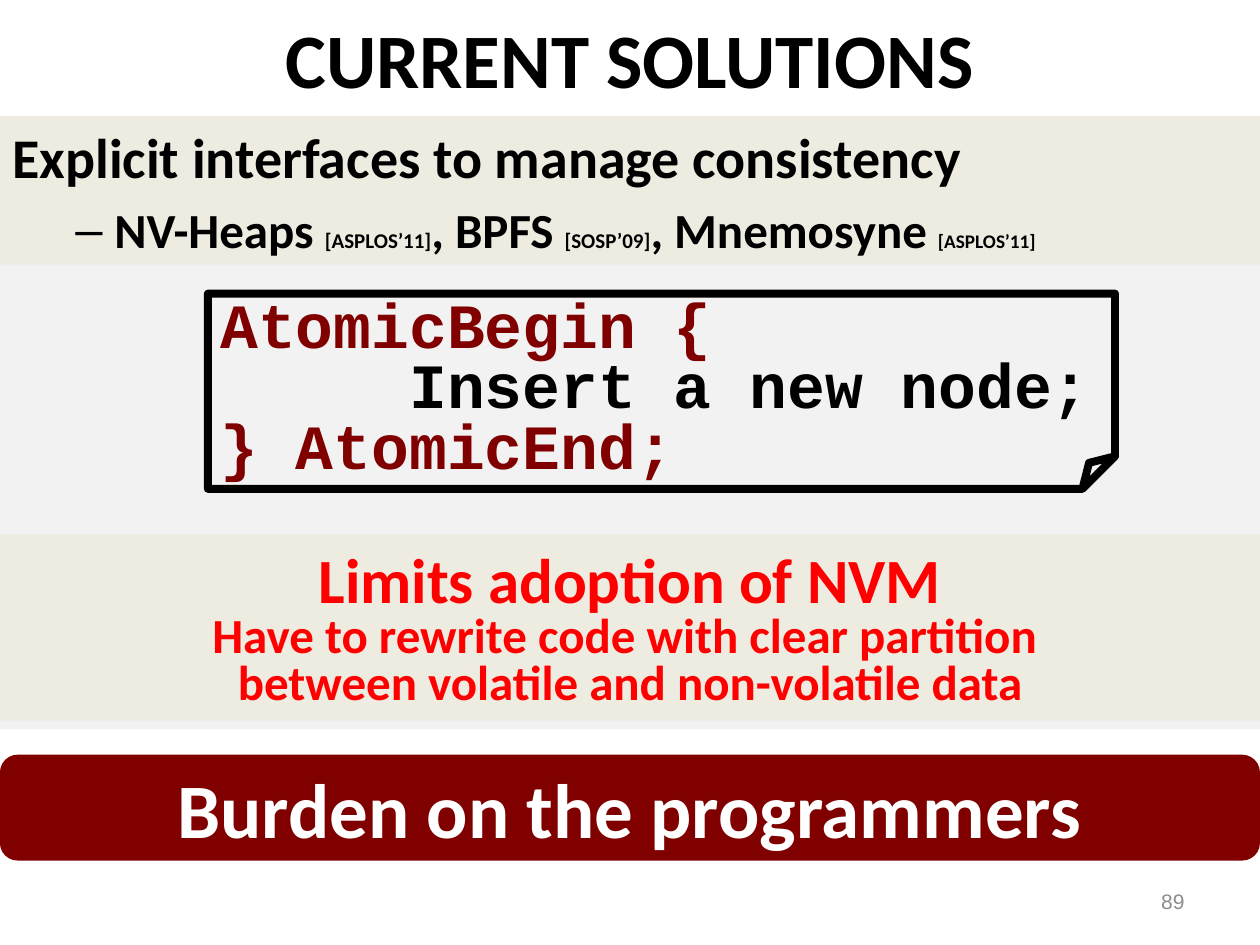
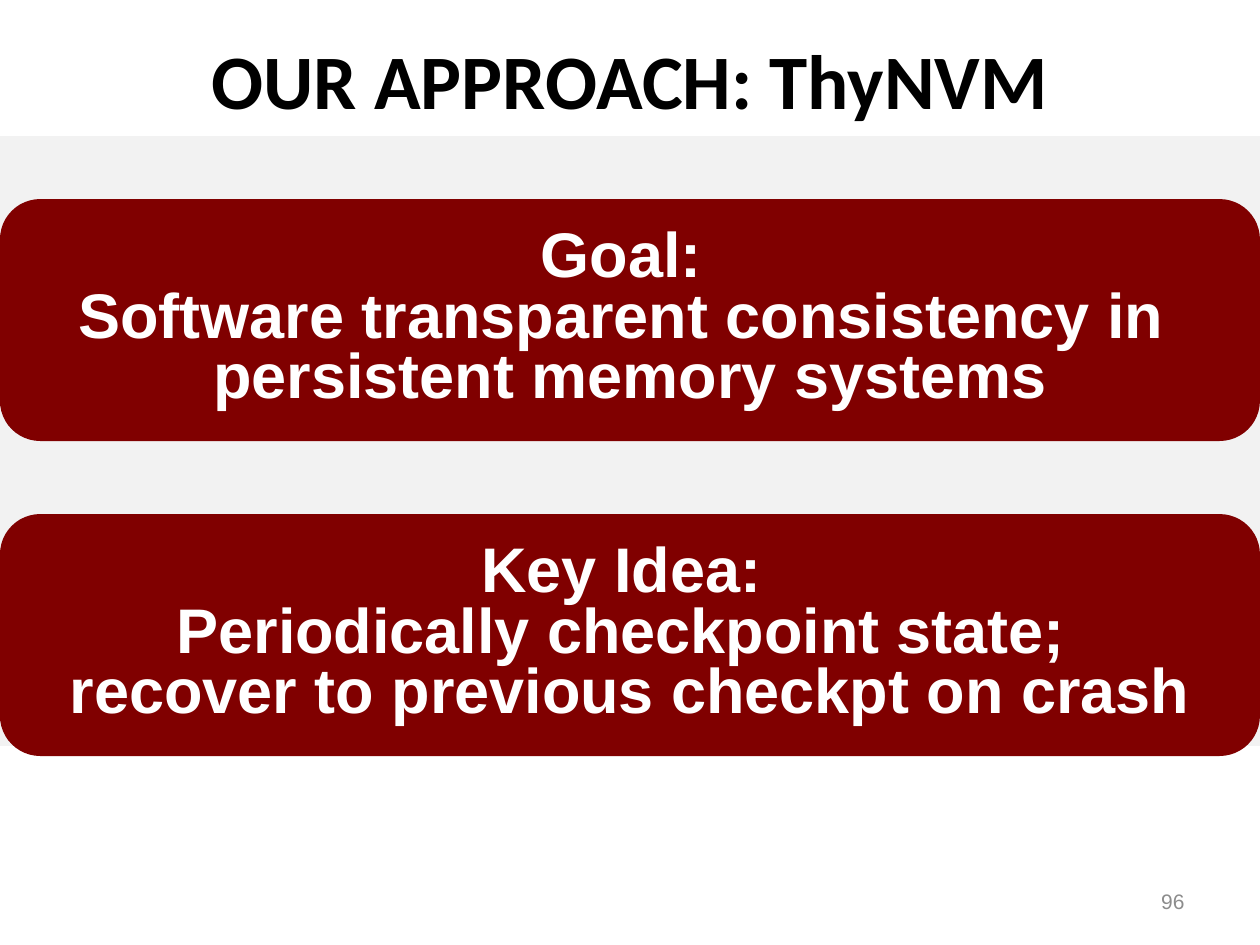
from dataclasses import dataclass

from lxml.etree import SubElement
from pptx import Presentation
from pptx.dml.color import RGBColor
from pptx.enum.shapes import MSO_SHAPE
from pptx.enum.text import MSO_ANCHOR, MSO_AUTO_SIZE, PP_ALIGN
from pptx.oxml.ns import qn
from pptx.shapes.autoshape import Shape
from pptx.slide import Slide
from pptx.text.text import Font, _Paragraph as Paragraph
from pptx.util import Emu, Pt

# Shared look: 100 px to the inch
EMU_PER_PX = 9144
SLIDE_WIDTH, SLIDE_HEIGHT = 1000, 750
BLACK, WHITE, RED = "000000", "FFFFFF", "FF0000"
MAROON, CREAM, PALE_GRAY, NUMBER_GRAY = "800000", "EEECE1", "F2F2F2", "8C8C8C"
HEADING_FONT, PLAIN_FONT, CODE_FONT = "Calibri", "Arial", "Courier New"
TIGHT = 0.8


@dataclass(frozen=True)
class Box:
    left: int
    top: int
    width: int
    height: int

    def emu(self) -> tuple[Emu, Emu, Emu, Emu]:
        return (px(self.left), px(self.top), px(self.width), px(self.height))


@dataclass(frozen=True)
class Line:
    text: str
    size: int
    color: str
    font: str = HEADING_FONT
    spacing: float = 1.0
    align: PP_ALIGN = PP_ALIGN.CENTER
    bold: bool = True


def px(length: int) -> Emu:
    return Emu(length * EMU_PER_PX)


def color(value: str) -> RGBColor:
    return RGBColor.from_string(value)


def full_width(top: int, height: int) -> Box:
    return Box(0, top, SLIDE_WIDTH, height)


def style_font(font: Font, name: str, size: int, hex_color: str, bold: bool) -> None:
    font.name = name
    font.size = Pt(size)
    font.bold = bold
    font.color.rgb = color(hex_color)


def write_lines(shape: Shape, lines: list[Line], anchor: MSO_ANCHOR) -> None:
    text_frame = shape.text_frame
    text_frame.word_wrap = True
    text_frame.auto_size = MSO_AUTO_SIZE.NONE
    text_frame.vertical_anchor = anchor
    text_frame.text = "\n".join(line.text for line in lines)
    for paragraph, line in zip(text_frame.paragraphs, lines):
        paragraph.alignment = line.align
        paragraph.line_spacing = line.spacing
        for run in paragraph.runs:
            style_font(run.font, line.font, line.size, line.color, line.bold)


def add_block(slide: Slide, kind: MSO_SHAPE, box: Box, fill: str | None) -> Shape:
    shape = slide.shapes.add_shape(kind, *box.emu())
    shape.shadow.inherit = False
    shape.line.fill.background()
    if fill:
        shape.fill.solid()
        shape.fill.fore_color.rgb = color(fill)
    else:
        shape.fill.background()
    return shape


def add_banner(slide: Slide, box: Box, lines: list[Line]) -> None:
    banner = add_block(slide, MSO_SHAPE.ROUNDED_RECTANGLE, box, MAROON)
    write_lines(banner, lines, MSO_ANCHOR.MIDDLE)


def add_base_slide(presentation, title: str, title_top: int, panel_top: int, number: str) -> Slide:
    """Add a slide with its title, gray panel and page number."""
    slide = presentation.slides.add_slide(presentation.slide_layouts[5])
    add_block(slide, MSO_SHAPE.RECTANGLE, full_width(panel_top, 484), PALE_GRAY)
    heading = slide.shapes.title
    heading.left, heading.top, heading.width, heading.height = full_width(title_top, 125).emu()
    write_lines(heading, [Line(title, 44, BLACK)], MSO_ANCHOR.MIDDLE)
    page_number = slide.shapes.add_textbox(*Box(717, 695, 233, 40).emu())
    number_line = Line(number, 12, NUMBER_GRAY, PLAIN_FONT, align=PP_ALIGN.RIGHT, bold=False)
    write_lines(page_number, [number_line], MSO_ANCHOR.MIDDLE)
    return slide


def add_dash_bullet(paragraph: Paragraph) -> None:
    properties = paragraph._p.get_or_add_pPr()
    properties.set("marL", str(px(81)))
    properties.set("indent", str(px(-31)))
    SubElement(properties, qn("a:buFont")).set("typeface", PLAIN_FONT)
    SubElement(properties, qn("a:buChar")).set("char", "–")


def build_current_solutions(presentation) -> None:
    slide = add_base_slide(presentation, "CURRENT SOLUTIONS", -17, 95, "89")

    # Existing interfaces, with small citations
    interfaces = add_block(slide, MSO_SHAPE.RECTANGLE, full_width(92, 118), CREAM)
    lead = Line("Explicit interfaces to manage consistency", 32, BLACK, align=PP_ALIGN.LEFT)
    write_lines(interfaces, [lead], MSO_ANCHOR.TOP)
    systems = interfaces.text_frame.add_paragraph()
    systems.level = 1
    systems.alignment = PP_ALIGN.LEFT
    systems.space_before = Pt(6)
    add_dash_bullet(systems)
    for text, size in [
        ("NV-Heaps ", 28), ("[ASPLOS’11]", 12),
        (", BPFS ", 28), ("[SOSP’09]", 12),
        (", Mnemosyne ", 28), ("[ASPLOS’11]", 11),
    ]:
        run = systems.add_run()
        run.text = text
        style_font(run.font, HEADING_FONT, size, BLACK, True)

    # Code note
    note = add_block(slide, MSO_SHAPE.FOLDED_CORNER, Box(165, 233, 720, 155), None)
    note.line.color.rgb = color(BLACK)
    note.line.width = Pt(4.5)
    code = [
        ("AtomicBegin {", MAROON),
        ("     Insert a new node;", BLACK),
        ("} AtomicEnd;", MAROON),
    ]
    code_lines = [Line(text, 36, ink, CODE_FONT, TIGHT, PP_ALIGN.LEFT) for text, ink in code]
    write_lines(note, code_lines, MSO_ANCHOR.TOP)

    # Drawbacks and conclusion
    drawbacks = add_block(slide, MSO_SHAPE.RECTANGLE, full_width(424, 148), CREAM)
    write_lines(drawbacks, [
        Line("Limits adoption of NVM", 36, RED),
        Line("Have to rewrite code with clear partition ", 28, RED, spacing=TIGHT),
        Line("between volatile and non-volatile data", 28, RED, spacing=TIGHT),
    ], MSO_ANCHOR.TOP)
    add_banner(slide, full_width(599, 84), [Line("Burden on the programmers", 44, WHITE)])


def build_our_approach(presentation) -> None:
    slide = add_base_slide(presentation, "OUR APPROACH: ThyNVM", 0, 108, "96")

    # Goal and key idea banners
    statements = [
        ("Goal: ", "Software transparent consistency in ", "persistent memory systems"),
        ("Key Idea: ", "Periodically checkpoint state; ", "recover to previous checkpt on crash"),
    ]
    for index, statement in enumerate(statements):
        lines = [Line(text, 36, WHITE, PLAIN_FONT, TIGHT) for text in statement]
        add_banner(slide, full_width(158 + 250 * index, 192), lines)


def main() -> None:
    presentation = Presentation()
    presentation.slide_width = px(SLIDE_WIDTH)
    presentation.slide_height = px(SLIDE_HEIGHT)
    build_current_solutions(presentation)
    build_our_approach(presentation)
    presentation.save("out.pptx")


if __name__ == "__main__":
    main()
